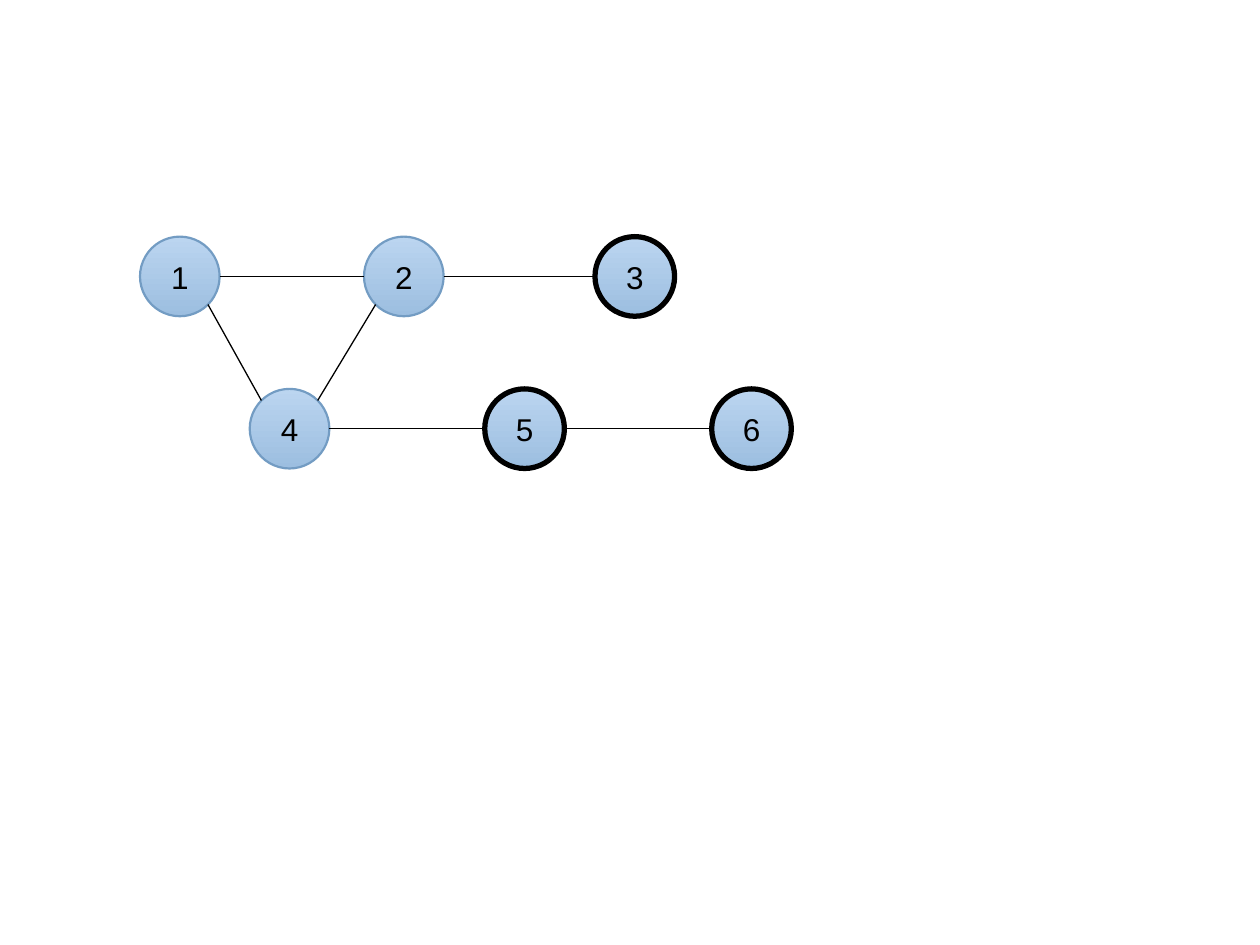
"""Build a slide with a six-node graph whose nodes 3, 5 and 6 are emphasised."""
from math import copysign, sqrt

from lxml import etree
from pptx import Presentation
from pptx.dml.color import RGBColor
from pptx.enum import shapes, text
from pptx.oxml import ns
from pptx.util import Pt

BLACK = RGBColor(0x00, 0x00, 0x00)
NODE_TOP = RGBColor(0xBB, 0xD5, 0xF0)
NODE_BOTTOM = RGBColor(0x9C, 0xBE, 0xE0)
NODE_EDGE = RGBColor(0x73, 0x9C, 0xC3)

DIAMETER = 45.5
UPPER, LOWER = 135.2, 222.2
NODES = {
    "1": (80, UPPER),
    "4": (142.7, LOWER),
    "6": (406.7, LOWER),
    "5": (277, LOWER),
    "3": (340, UPPER),
    "2": (208, UPPER),
}
EMPHASISED = {"3", "5", "6"}
EDGES = [("1", "2"), ("1", "4"), ("2", "4"), ("2", "3"), ("4", "5"), ("5", "6")]


def add_node(slide, label):
    left, top = NODES[label]
    node = slide.shapes.add_shape(
        shapes.MSO_SHAPE.OVAL, Pt(left), Pt(top), Pt(DIAMETER), Pt(DIAMETER))
    node.shadow.inherit = False
    node.fill.gradient()
    node.fill.gradient_angle = 270
    for stop, color in zip(node.fill.gradient_stops, (NODE_TOP, NODE_BOTTOM)):
        stop.color.rgb = color
    emphasised = label in EMPHASISED
    node.line.color.rgb = BLACK if emphasised else NODE_EDGE
    node.line.width = Pt(3 if emphasised else 1.25)
    frame = node.text_frame
    frame.vertical_anchor = text.MSO_ANCHOR.MIDDLE
    paragraph = frame.paragraphs[0]
    paragraph.text = label
    paragraph.alignment = text.PP_ALIGN.CENTER
    paragraph.font.name = "Arial"
    paragraph.font.size = Pt(18)
    paragraph.font.color.rgb = BLACK


def edge_ends(start, end):
    (x1, y1), (x2, y2) = (
        (left + DIAMETER / 2, top + DIAMETER / 2)
        for left, top in (NODES[start], NODES[end]))
    radius = DIAMETER / 2
    if y1 == y2:
        dx, dy = copysign(radius, x2 - x1), 0
    else:
        dx = copysign(radius / sqrt(2), x2 - x1)
        dy = copysign(radius / sqrt(2), y2 - y1)
    return x1 + dx, y1 + dy, x2 - dx, y2 - dy


def add_edge(slide, start, end):
    edge = slide.shapes.add_connector(
        shapes.MSO_CONNECTOR.STRAIGHT, *map(Pt, edge_ends(start, end)))
    edge.line.color.rgb = BLACK
    edge.line.width = Pt(0.75)
    etree.SubElement(edge._element.spPr, ns.qn("a:effectLst"))


def main():
    presentation = Presentation()
    presentation.slide_width, presentation.slide_height = Pt(720), Pt(540)
    slide = presentation.slides.add_slide(presentation.slide_layouts[6])
    for label in NODES:
        add_node(slide, label)
    for start, end in EDGES:
        add_edge(slide, start, end)
    presentation.save("out.pptx")


if __name__ == "__main__":
    main()
